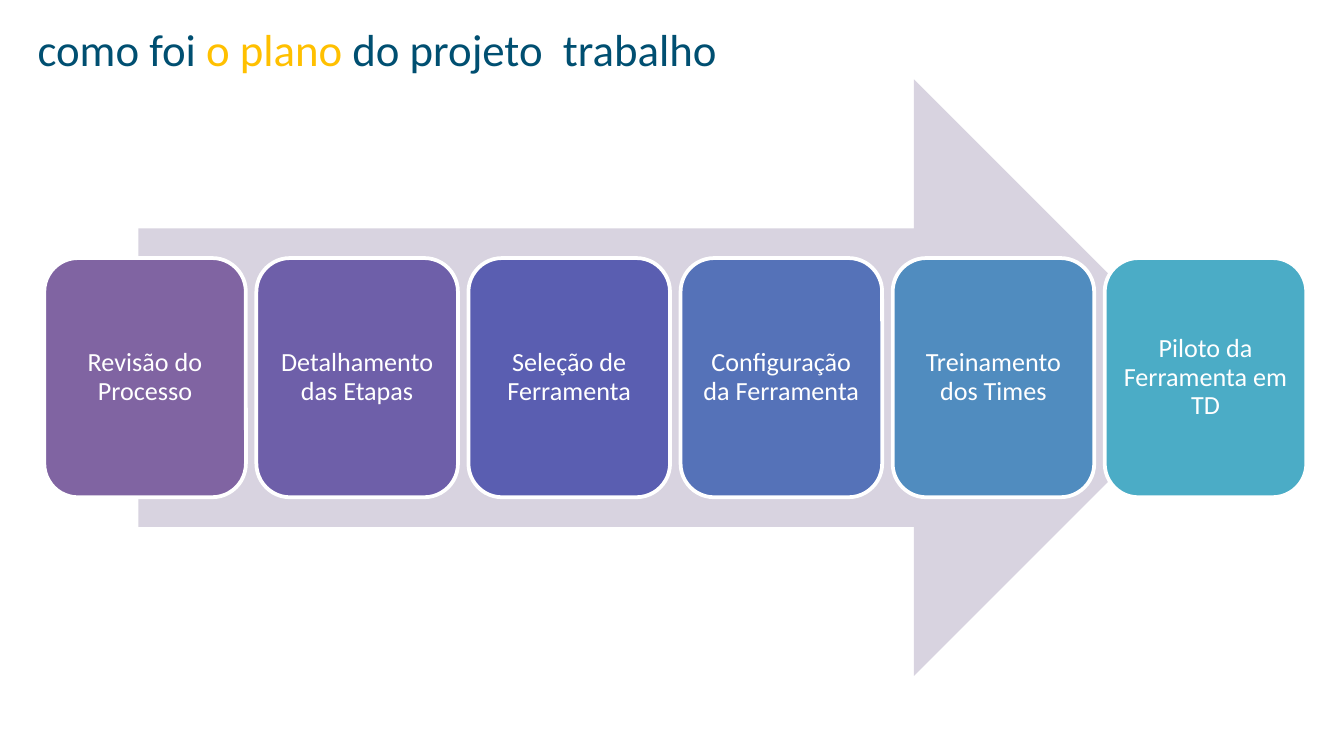
from pptx import Presentation
from pptx import util as u
from pptx.dml.color import RGBColor
from pptx.enum import shapes, text

FONT = "Calibri"
WHITE = RGBColor(0xFF, 0xFF, 0xFF)
NAVY = RGBColor(0x00, 0x4F, 0x71)
GOLD = RGBColor(0xFF, 0xC0, 0x00)
LAVENDER = RGBColor(0xD8, 0xD3, 0xE0)

TITLE_PARTS = [
    ("como foi ", NAVY),
    ("o plano ", GOLD),
    ("do projeto  trabalho", NAVY),
]
STEPS = [
    ("Revisão do Processo", RGBColor(0x80, 0x64, 0xA2)),
    ("Detalhamento das Etapas", RGBColor(0x6E, 0x5F, 0xA9)),
    ("Seleção de Ferramenta", RGBColor(0x5A, 0x5E, 0xB1)),
    ("Configuração da Ferramenta", RGBColor(0x55, 0x72, 0xB8)),
    ("Treinamento dos Times", RGBColor(0x50, 0x8C, 0xBF)),
    ("Piloto da Ferramenta em TD", RGBColor(0x4B, 0xAC, 0xC6)),
]
FIRST_LEFT, LAST_LEFT = 0.33, 8.22


def format_run(run, size, color):
    """Apply the slide font, a size and a colour to a run."""
    run.font.name = FONT
    run.font.size = u.Pt(size)
    run.font.color.rgb = color


def set_title(slide):
    """Place the two-coloured title at the top left."""
    title = slide.shapes.title
    title.left, title.top = u.Inches(0.18), u.Inches(0.11)
    title.width, title.height = u.Inches(9.6), u.Inches(0.5)
    frame = title.text_frame
    frame.auto_size = text.MSO_AUTO_SIZE.NONE
    frame.vertical_anchor = text.MSO_ANCHOR.TOP
    paragraph = frame.paragraphs[0]
    paragraph.alignment = text.PP_ALIGN.LEFT
    for words, color in TITLE_PARTS:
        run = paragraph.add_run()
        run.text = words
        format_run(run, 24, color)


def add_filled_shape(slide, kind, left, top, width, height, color):
    """Add a flat preset shape without an outline, sized in inches."""
    shape = slide.shapes.add_shape(
        kind, u.Inches(left), u.Inches(top), u.Inches(width), u.Inches(height)
    )
    shape.shadow.inherit = False
    shape.fill.solid()
    shape.fill.fore_color.rgb = color
    shape.line.fill.background()
    return shape


def add_step(slide, left, label, color):
    """Add one rounded step box with its centred label."""
    shape = add_filled_shape(
        slide, shapes.MSO_SHAPE.ROUNDED_RECTANGLE, left, 1.92, 1.5, 1.78, color
    )
    shape.line.color.rgb = WHITE
    shape.line.width = u.Pt(2)
    frame = shape.text_frame
    frame.text = label
    frame.word_wrap = True
    frame.vertical_anchor = text.MSO_ANCHOR.MIDDLE
    frame.margin_left = frame.margin_right = u.Inches(0.06)
    frame.margin_top = frame.margin_bottom = u.Inches(0.06)
    paragraph = frame.paragraphs[0]
    paragraph.alignment = text.PP_ALIGN.CENTER
    paragraph.line_spacing = 0.9
    format_run(paragraph.runs[0], 14, WHITE)


def main():
    """Build the project plan slide and save it."""
    presentation = Presentation()
    presentation.slide_width = u.Inches(10)
    presentation.slide_height = u.Inches(10 * 9 / 16)
    slide = presentation.slides.add_slide(presentation.slide_layouts[5])
    set_title(slide)
    add_filled_shape(
        slide, shapes.MSO_SHAPE.RIGHT_ARROW, 1.03, 0.59, 7.99, 4.44, LAVENDER
    )
    pitch = (LAST_LEFT - FIRST_LEFT) / (len(STEPS) - 1)
    for index, (label, color) in enumerate(STEPS):
        add_step(slide, FIRST_LEFT + index * pitch, label, color)
    presentation.save("out.pptx")


if __name__ == "__main__":
    main()
